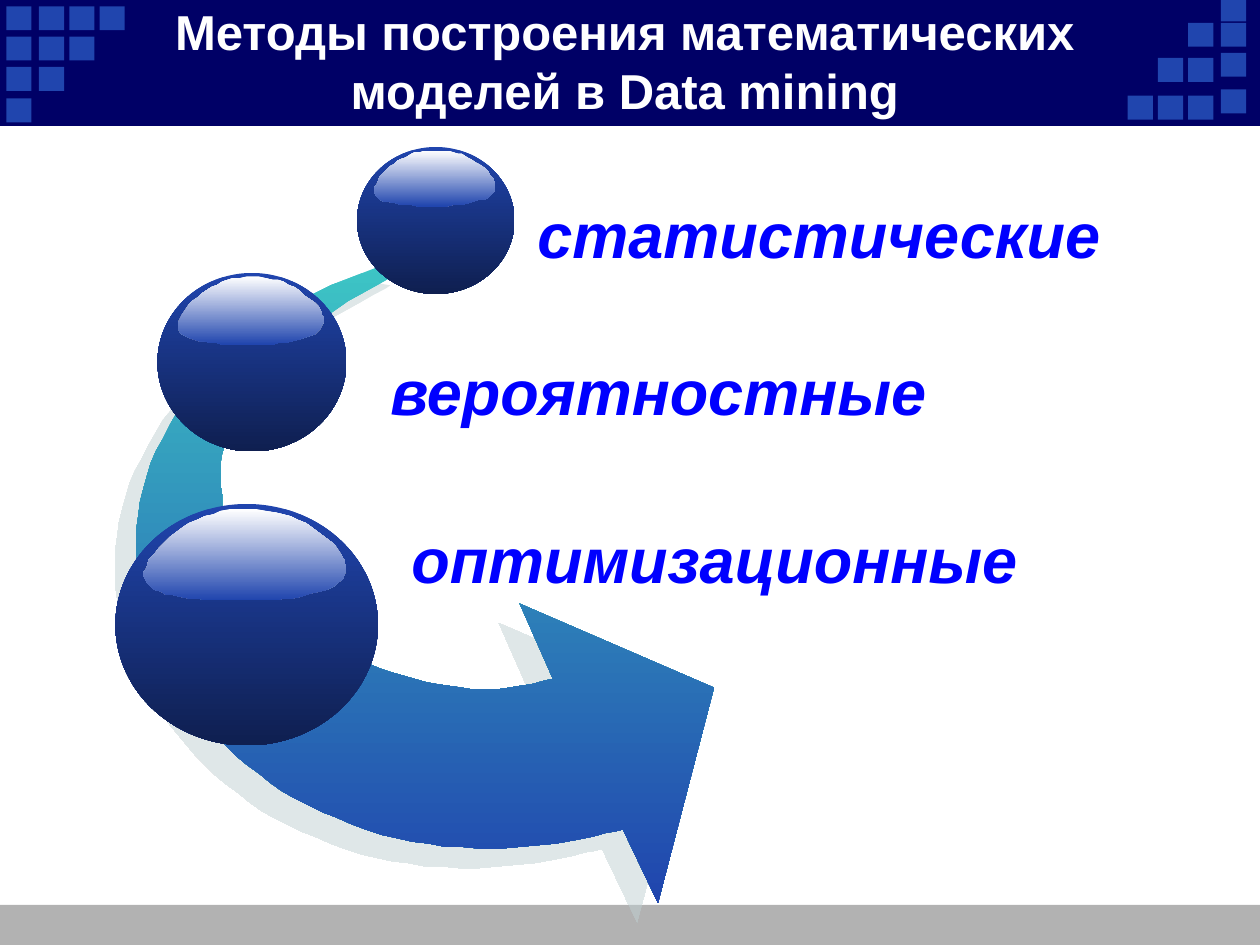
from lxml import etree
from pptx import Presentation
from pptx.dml.color import RGBColor
from pptx.enum.shapes import MSO_SHAPE
from pptx.enum.text import MSO_ANCHOR, PP_ALIGN
from pptx.oxml.ns import qn
from pptx.util import Pt

RECT, OVAL = MSO_SHAPE.RECTANGLE, MSO_SHAPE.OVAL
WHITE = RGBColor(0xFF, 0xFF, 0xFF)
GREY = RGBColor(0xB2, 0xB2, 0xB2)
NAVY = RGBColor(0x00, 0x00, 0x66)
BLUE = RGBColor(0x20, 0x45, 0xAE)
DEEP = RGBColor(0x0F, 0x1F, 0x50)
TEAL = RGBColor(0x3D, 0xC5, 0xC5)
LABEL = RGBColor(0x00, 0x00, 0xFF)
SHADOW = RGBColor(0xC1, 0xD1, 0xD3)
FONT = "Arial"

TITLE = "Методы построения математических моделей в Data mining"
# text, left, top, width
METHODS = [
    ("статистические", 300, 108, 354),
    ("вероятностные", 216, 198, 432),
    ("оптимизационные", 228, 294, 432),
]
# left, top, width, height
BALLS = [(204, 84, 90, 84), (90, 156, 108, 102), (66, 288, 150, 138)]

# Columns of header squares: left edge, top edges
SQUARE = (14.4, 13.7)
LEFT_ROWS = [3.6, 20.9, 38.2, 56.2]
SQUARE_COLUMNS = [
    (3.6, LEFT_ROWS), (22.3, LEFT_ROWS[:3]), (39.6, LEFT_ROWS[:2]), (56.9, LEFT_ROWS[:1]),
    (644.4, [54.7]), (661.7, [54.7, 33.1]), (679, [54.7, 33.1, 13]),
    (697.7, [51.1, 30.2, 13, -1.4]),
]

# Knots of the curved arrow's edges
ARROW_OUTER = [
    (224, 150), (189.4, 163.4), (160.6, 179.3), (136, 196.6), (116, 216),
    (100.8, 236.2), (89.3, 257.8), (82, 279.4), (78.5, 302.4), (78.5, 324.7),
    (82, 346.3), (89.3, 368), (99.4, 388.8), (113, 408.2), (128.9, 426.2),
    (147.6, 442), (168.5, 456.5), (192.2, 467.3), (218.2, 476.6), (245.5, 482.4),
    (275, 484.6), (306.7, 483.1), (339.1, 478.1), (355.7, 473.8),
]
ARROW_HEAD = [(375.5, 516.2), (408, 393), (296.6, 344.9)]
ARROW_INNER = [
    (316, 388), (297.4, 392.4), (277.2, 393.8), (257, 392.4), (236.9, 388),
    (216.7, 381.6), (198, 373), (180.7, 362.9), (164.9, 350.6), (151.2, 337),
    (140.4, 321.8), (131.8, 305.3), (127.4, 288.7), (126, 270.7), (128.9, 252.7),
    (136, 234), (148.3, 215.3), (166.3, 196.6), (189.4, 178.6), (218.9, 160.6),
    (235.4, 152),
]

# Highlight: box as shares of its ball, then knots as shares of that box
GLOSS_BOX = (0.11, 0.02, 0.77, 0.38)
GLOSS = [
    (0.99, 0.56), (1, 0.67), (0.96, 0.81), (0.87, 0.9), (0.73, 0.97), (0.6, 1),
    (0.36, 1), (0.22, 0.97), (0.11, 0.93), (0.03, 0.85), (0, 0.73), (0.01, 0.63),
    (0.07, 0.42), (0.16, 0.25), (0.26, 0.12), (0.38, 0.03), (0.51, 0),
    (0.65, 0.04), (0.76, 0.12), (0.87, 0.27), (0.96, 0.45), (0.99, 0.56),
]


def smooth_curve(knots, steps=3):
    """Return points on a Catmull-Rom curve through the knots."""
    ends = [knots[0], *knots, knots[-1]]
    points = [knots[0]]
    for a, b, c, d in zip(ends, ends[1:], ends[2:], ends[3:]):
        for step in range(1, steps + 1):
            t = step / steps
            points.append(tuple(
                (2 * q + (r - p) * t + (2 * p - 5 * q + 4 * r - u) * t ** 2
                 + (3 * q - p - 3 * r + u) * t ** 3) / 2
                for p, q, r, u in zip(a, b, c, d)))
    return points


def paint(sp, *colors):
    """Fill with one colour, or with a gradient from top to bottom."""
    sp.shadow.inherit = False
    sp.line.fill.background()
    if len(colors) == 1:
        sp.fill.solid()
        sp.fill.fore_color.rgb = colors[0]
        return
    sp.fill.gradient()
    sp.fill.gradient_angle = 270
    for stop, color in zip(sp.fill.gradient_stops, colors):
        stop.color.rgb = color


def add_preset(shapes, kind, box, *colors):
    sp = shapes.add_shape(kind, *map(Pt, box))
    paint(sp, *colors)
    return sp


def add_outline(shapes, points, *colors):
    builder = shapes.build_freeform(*points[0], scale=Pt(1))
    builder.add_line_segments(points[1:], close=True)
    sp = builder.convert_to_shape()
    paint(sp, *colors)
    return sp


def add_hard_shadow(sp, distance, degrees, color, alpha):
    effects = sp.element.spPr.find(qn("a:effectLst"))
    shadow = etree.SubElement(effects, qn("a:outerShdw"), blurRad="0", dist=str(Pt(distance)),
                              dir=str(degrees * 60000), algn="ctr", rotWithShape="0")
    rgb = etree.SubElement(shadow, qn("a:srgbClr"), val=str(color))
    etree.SubElement(rgb, qn("a:alpha"), val=str(alpha * 1000))


def add_ball(shapes, box):
    add_preset(shapes, OVAL, box, BLUE, DEEP)
    x, y, w, h = box
    gx, gy, gw, gh = GLOSS_BOX
    knots = [(x + w * (gx + gw * u), y + h * (gy + gh * v)) for u, v in GLOSS]
    add_outline(shapes, smooth_curve(knots), WHITE, BLUE)


def set_text(tf, text, size, color, italic=None):
    tf.word_wrap = True
    p = tf.paragraphs[0]
    p.text = text
    p.font.name, p.font.size = FONT, Pt(size)
    p.font.bold, p.font.italic = True, italic
    p.font.color.rgb = color
    return p


def main():
    prs = Presentation()
    prs.slide_width, prs.slide_height = Pt(720), Pt(540)
    s = prs.slides.add_slide(prs.slide_layouts[5])
    shapes = s.shapes

    add_preset(shapes, RECT, (0, 517, 720, 23), GREY)
    add_preset(shapes, RECT, (0, 0, 720, 72), NAVY)
    for left, tops in SQUARE_COLUMNS:
        for top in tops:
            add_preset(shapes, RECT, (left, top, *SQUARE), BLUE)

    title = shapes.title
    shapes.element.append(title.element)  # in front of the header band
    title.left, title.top, title.width, title.height = map(Pt, (66, 12.5, 582, 44.5))
    title.text_frame.vertical_anchor = MSO_ANCHOR.MIDDLE
    set_text(title.text_frame, TITLE, 28, WHITE).alignment = PP_ALIGN.CENTER

    points = smooth_curve(ARROW_OUTER) + ARROW_HEAD + smooth_curve(ARROW_INNER)
    arrow = add_outline(shapes, points, TEAL, BLUE)
    add_hard_shadow(arrow, 16.3, 137, SHADOW, 50)

    for box in BALLS:
        add_ball(shapes, box)
    for text, left, top, width in METHODS:
        label = shapes.add_textbox(Pt(left), Pt(top), Pt(width), Pt(50.5))
        set_text(label.text_frame, text, 36, LABEL, italic=True)

    prs.save("out.pptx")


if __name__ == "__main__":
    main()
